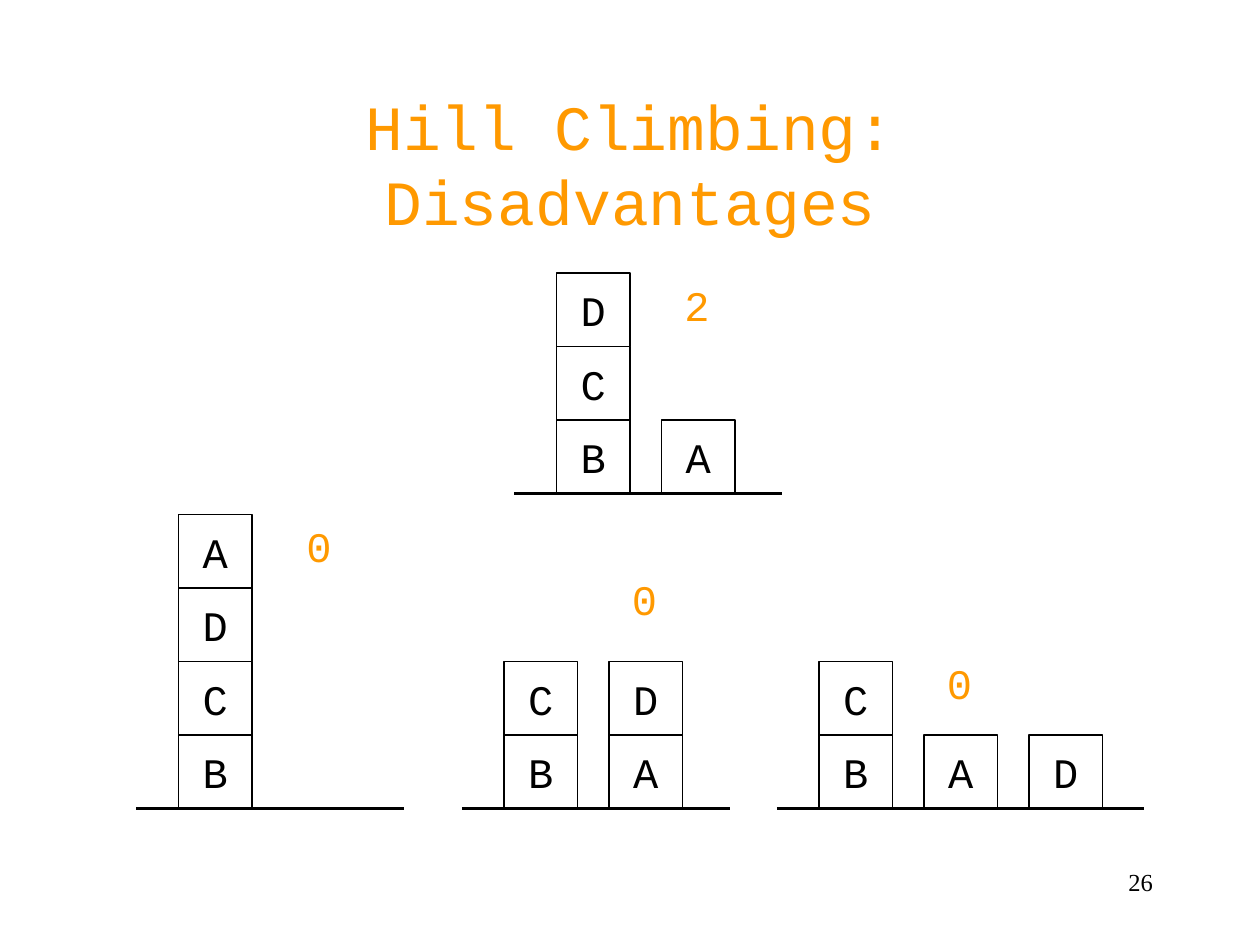
"""Build the slide on the disadvantages of hill climbing in the blocks world."""
from lxml import etree
from pptx import Presentation
from pptx.dml.color import RGBColor
from pptx.enum.shapes import MSO_CONNECTOR, MSO_SHAPE
from pptx.enum.text import MSO_ANCHOR, MSO_AUTO_SIZE, PP_ALIGN
from pptx.oxml.ns import qn
from pptx.util import Inches, Pt

RECTANGLE = MSO_SHAPE.RECTANGLE
STRAIGHT = MSO_CONNECTOR.STRAIGHT
TOP, MIDDLE = MSO_ANCHOR.TOP, MSO_ANCHOR.MIDDLE
LEFT, CENTER, RIGHT = PP_ALIGN.LEFT, PP_ALIGN.CENTER, PP_ALIGN.RIGHT
FIXED = MSO_AUTO_SIZE.NONE

COLOURS = {"ink": "000000", "accent": "FF9900"}
UNIT = Inches(1) // 12
BLOCK, PITCH, OVERHANG, SCORE_SIZE = 7, 10, 4, 6
MONO, SERIF = "Courier New", "Times New Roman"
TITLE_ONLY = 5

STATES = [
    {"stacks": ["BCDA"], "left": 17, "ground": 77, "width": 25.5, "score": ("0", 28, 49)},
    {"stacks": ["BC", "AD"], "left": 48, "ground": 77, "width": 25.5, "score": ("0", 59, 54)},
    {"stacks": ["BC", "A", "D"], "left": 78, "ground": 77, "width": 35, "score": ("0", 89, 62)},
    {"stacks": ["BCD", "A"], "left": 53, "ground": 47, "width": 25.5, "score": ("2", 64, 26)},
]


def grid(*cells):
    """Turn grid positions into lengths."""
    return [int(cell * UNIT) for cell in cells]


def colour(name):
    """Return a named colour."""
    return RGBColor.from_string(COLOURS[name])


def write(shape, text, size, ink="ink", font=MONO, align=LEFT, anchor=TOP, wrap=True):
    """Put one formatted paragraph into a shape."""
    frame = shape.text_frame
    frame.text = text
    para = frame.paragraphs[0]
    frame_format = {"auto_size": FIXED, "word_wrap": wrap, "vertical_anchor": anchor}
    font_format = {"name": font, "size": Pt(size), "bold": False}
    for target, values in ((frame, frame_format), (para.font, font_format)):
        for key, value in values.items():
            setattr(target, key, value)
    para.alignment = align
    para.font.color.rgb = colour(ink)


def add_title(page, text):
    """Place and format the title."""
    title = page.shapes.title
    title.left, title.top, title.width, title.height = grid(9, 8, 102, 15)
    write(title, text, 36, ink="accent", align=CENTER, anchor=MIDDLE)


def add_label(page, text, cells, size, **style):
    """Add a text box on the grid."""
    write(page.shapes.add_textbox(*grid(*cells)), text, size, **style)


def add_block(page, letter, left, top):
    """Add one lettered block."""
    block = page.shapes.add_shape(RECTANGLE, *grid(left, top, BLOCK, BLOCK))
    block.shadow.inherit = False
    block.fill.background()
    block.line.color.rgb = colour("ink")
    block.line.width = Pt(1)
    write(block, letter, 24, align=CENTER, anchor=MIDDLE, wrap=False)


def add_ground(page, left, top, width):
    """Add the line on which the blocks stand."""
    ground = page.shapes.add_connector(STRAIGHT, *grid(left, top, left + width, top))
    ground.line.color.rgb = colour("ink")
    ground.line.width = Pt(1.5)
    etree.SubElement(ground._element.spPr, qn("a:effectLst"))


def add_state(page, stacks, left, ground, width, score):
    """Add stacks of blocks, listed from the bottom up, with ground and score."""
    for column, stack in enumerate(stacks):
        for level, letter in enumerate(stack, 1):
            add_block(page, letter, left + column * PITCH, ground - level * BLOCK)
    add_ground(page, left - OVERHANG, ground, width)
    value, score_left, score_top = score
    add_label(page, value, (score_left, score_top, SCORE_SIZE, SCORE_SIZE), 24, ink="accent")


def main():
    """Build and save the deck."""
    deck = Presentation()
    deck.slide_width, deck.slide_height = grid(120, 90)
    page = deck.slides.add_slide(deck.slide_layouts[TITLE_ONLY])
    add_title(page, "Hill Climbing: Disadvantages")
    for state in STATES:
        add_state(page, **state)
    add_label(page, "26", (86, 82, 25, 6), 14, font=SERIF, align=RIGHT)
    deck.save("out.pptx")


if __name__ == "__main__":
    main()
